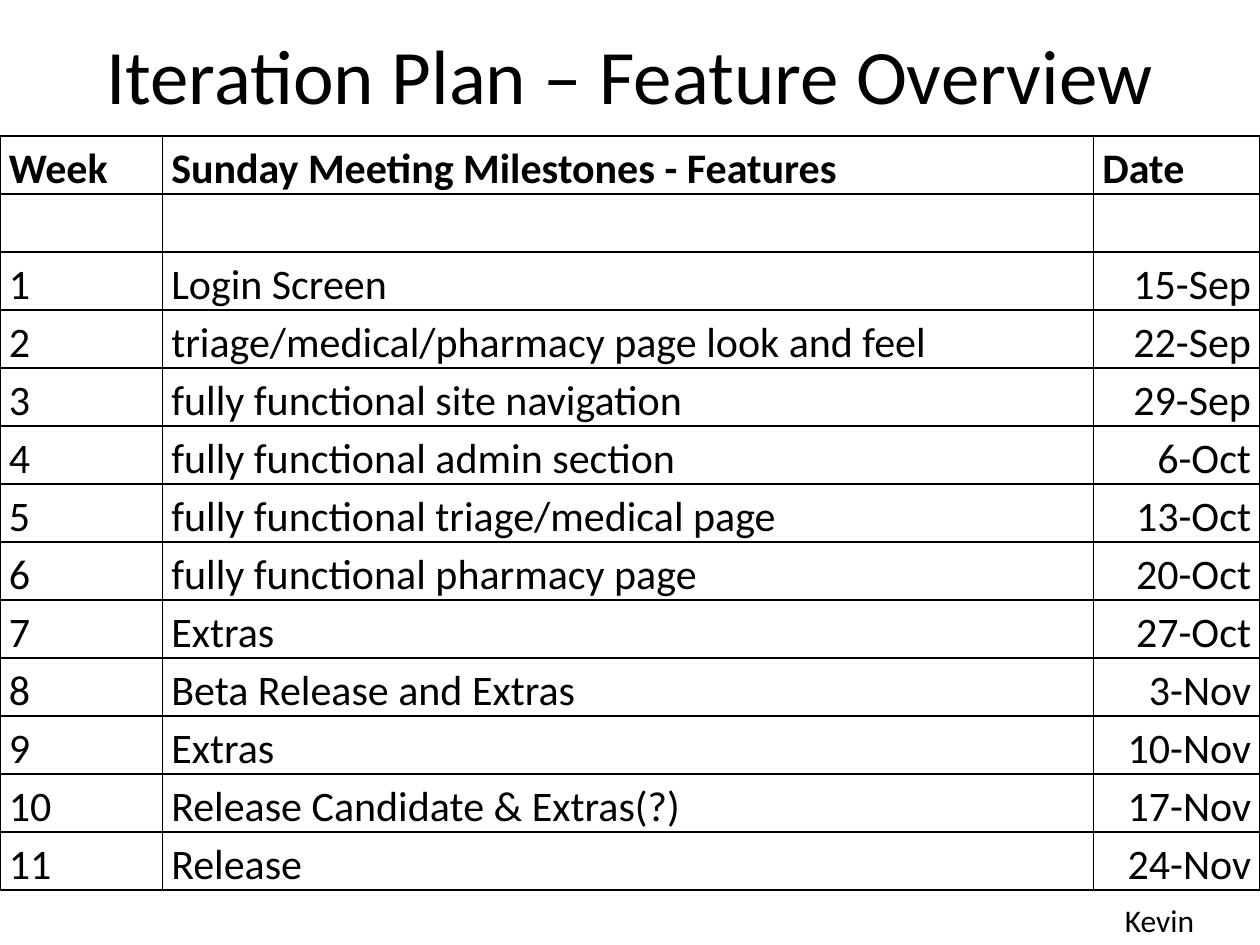
from dataclasses import dataclass

from lxml import etree
from pptx import Presentation
from pptx.dml.color import RGBColor
from pptx.enum.text import MSO_ANCHOR, PP_ALIGN
from pptx.oxml.ns import qn
from pptx.util import Inches, Pt

LEFT, CENTER, RIGHT = PP_ALIGN.LEFT, PP_ALIGN.CENTER, PP_ALIGN.RIGHT
TOP, MIDDLE, BOTTOM = MSO_ANCHOR.TOP, MSO_ANCHOR.MIDDLE, MSO_ANCHOR.BOTTOM
BLANK_LAYOUT = 6

HEADINGS = ("Week", "Sunday Meeting Milestones - Features", "Date")
MILESTONES = [
    ("Login Screen", "15-Sep"),
    ("triage/medical/pharmacy page look and feel", "22-Sep"),
    ("fully functional site navigation", "29-Sep"),
    ("fully functional admin section", "6-Oct"),
    ("fully functional triage/medical page", "13-Oct"),
    ("fully functional pharmacy page", "20-Oct"),
    ("Extras", "27-Oct"),
    ("Beta Release and Extras", "3-Nov"),
    ("Extras", "10-Nov"),
    ("Release Candidate & Extras(?)", "17-Nov"),
    ("Release", "24-Nov"),
]


@dataclass(frozen=True)
class Theme:
    font: str = "Calibri"
    ink: str = "000000"
    paper: str = "FFFFFF"
    title_size: int = 44
    table_size: int = 24
    name_size: int = 18
    line_spacing: float = 1.15
    border: float = 1
    cell_margin: float = 0.07


class SlideBuilder:
    """Places elements in inches on a 10 by 7.5 grid of one-inch units."""

    def __init__(self, presentation, theme):
        self.theme = theme
        self.slide = presentation.slides.add_slide(
            presentation.slide_layouts[BLANK_LAYOUT])
        fill = self.slide.background.fill
        fill.solid()
        fill.fore_color.rgb = RGBColor.from_string(theme.paper)

    def add_run(self, paragraph, text, size, align=LEFT, bold=False):
        paragraph.alignment = align
        run = paragraph.add_run()
        run.text = text
        run.font.name = self.theme.font
        run.font.size = Pt(size)
        run.font.bold = bold
        run.font.color.rgb = RGBColor.from_string(self.theme.ink)

    def text(self, box, text, size, align=LEFT, anchor=TOP, wrap=True):
        shape = self.slide.shapes.add_textbox(*map(Inches, box))
        frame = shape.text_frame
        frame.word_wrap = wrap
        frame.vertical_anchor = anchor
        self.add_run(frame.paragraphs[0], text, size, align)

    def table(self, left, top, widths, row_height, rows):
        """Draw a ruled table whose first row is bold and last column dates."""
        shape = self.slide.shapes.add_table(
            len(rows), len(widths), Inches(left), Inches(top),
            Inches(sum(widths)), Inches(row_height * len(rows)))
        table = shape.table
        table.first_row = table.horz_banding = False
        for column, width in zip(table.columns, widths):
            column.width = Inches(width)
        for row_index, row in enumerate(rows):
            table.rows[row_index].height = Inches(row_height)
            heading = row_index == 0
            for column_index, text in enumerate(row):
                is_date = column_index == len(widths) - 1 and not heading
                self.cell(table.cell(row_index, column_index), text,
                          RIGHT if is_date else LEFT, heading)

    def cell(self, cell, text, align, bold):
        cell.margin_left = cell.margin_right = Inches(self.theme.cell_margin)
        cell.margin_top = cell.margin_bottom = 0
        cell.vertical_anchor = BOTTOM
        paragraph = cell.text_frame.paragraphs[0]
        paragraph.line_spacing = self.theme.line_spacing
        self.add_run(paragraph, text, self.theme.table_size, align, bold)
        self.borders(cell)
        cell.fill.background()

    def borders(self, cell):
        properties = cell._tc.get_or_add_tcPr()
        for side in ("lnL", "lnR", "lnT", "lnB"):
            line = etree.SubElement(properties, qn(f"a:{side}"),
                                    w=str(Pt(self.theme.border)))
            fill = etree.SubElement(line, qn("a:solidFill"))
            etree.SubElement(fill, qn("a:srgbClr"), val=self.theme.ink)


def main():
    presentation = Presentation()
    presentation.slide_width = Inches(10)
    presentation.slide_height = Inches(7.5)
    theme = Theme()
    builder = SlideBuilder(presentation, theme)

    builder.text((0, 0, 10, 1.17), "Iteration Plan – Feature Overview",
                 theme.title_size, CENTER, MIDDLE)
    weeks = [(str(week), *milestone)
             for week, milestone in enumerate(MILESTONES, start=1)]
    builder.table(0, 1.08, (1.29, 7.39, 1.32), 0.46,
                  [HEADINGS, ("", "", ""), *weeks])
    builder.text((8.83, 7.1, 0.76, 0.4), "Kevin", theme.name_size, wrap=False)

    presentation.save("out.pptx")


if __name__ == "__main__":
    main()
